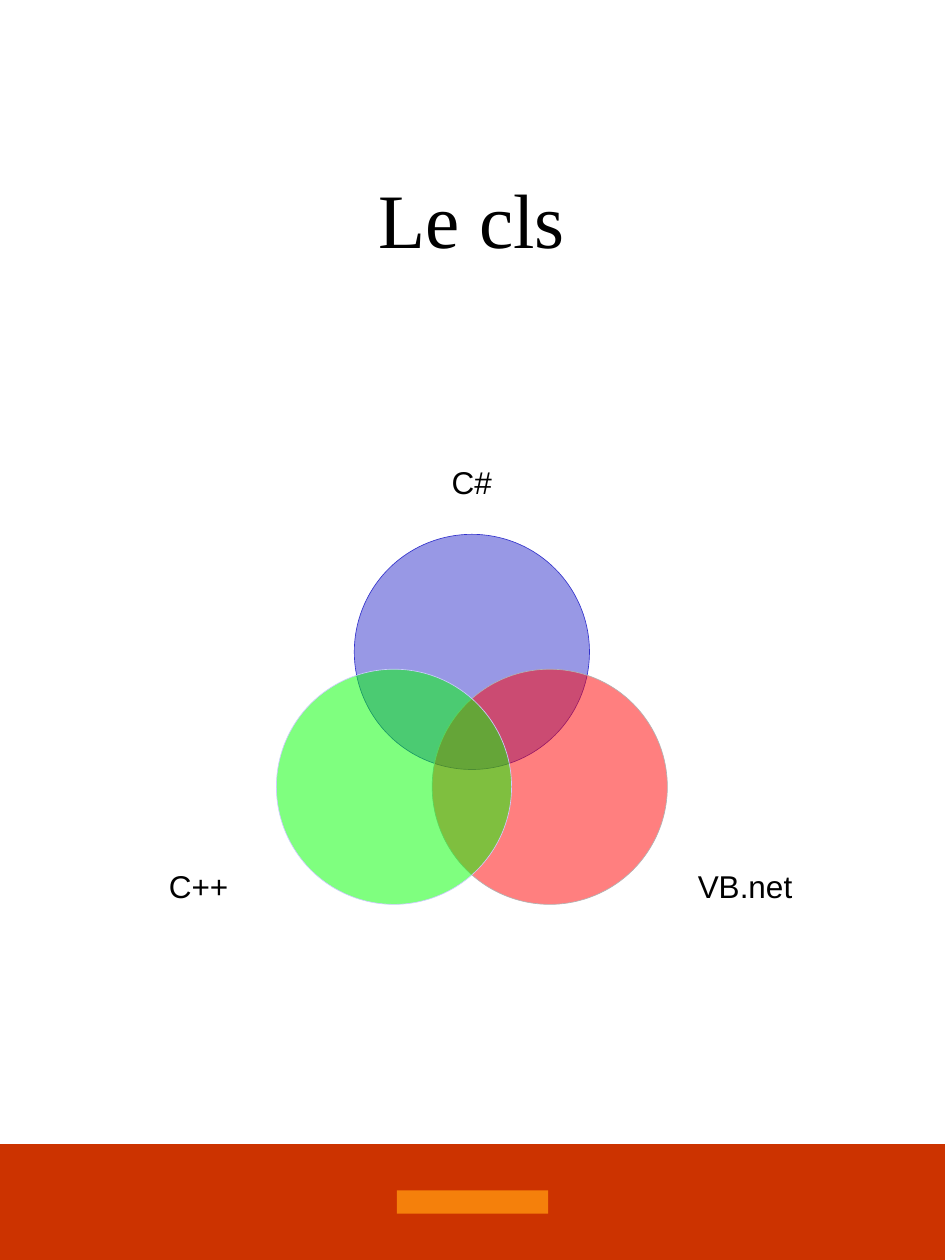
import math
from collections import namedtuple
from dataclasses import dataclass

import pptx
import pptx.dml.color
import pptx.enum.shapes
import pptx.enum.text
import pptx.oxml.ns
import pptx.util
from lxml import etree

Box = namedtuple("Box", "x y w h")
Language = namedtuple("Language", "name fill line angle column row")


@dataclass(frozen=True)
class Theme:
    """Colours, fonts and type sizes of the slide."""
    ink: str = "000000"
    band: str = "CC3300"
    accent: str = "F5800B"
    title_font: str = "Times New Roman"
    label_font: str = "Arial"
    title_size: int = 44
    label_size: int = 18
    outline: float = 0.37
    opacity: int = 50


THEME = Theme()
WIDTH, HEIGHT = 7.5, 10
COLUMNS, ROWS = 75, 100
LANGUAGES = (
    Language("C#", "3333CC", "3333CC", -90, 0.5, 0),
    Language("VB.net", "FF0000", "B2B2B2", 30, 1, 1),
    Language("C++", "00FF00", "CCCCFF", 150, 0, 1),
)


def rgb(value):
    """Return a colour from its hex value."""
    return pptx.dml.color.RGBColor.from_string(value)


def grid(column, row, columns, rows):
    """Return a box in inches from columns and rows of the slide grid."""
    cell_w, cell_h = WIDTH / COLUMNS, HEIGHT / ROWS
    return Box(column * cell_w, row * cell_h, columns * cell_w, rows * cell_h)


def emu(box):
    """Return the sides of a box as lengths."""
    return [pptx.util.Inches(v) for v in box]


def add_text(s, box, text, *, font, size, color, wrap=False):
    """Add a centred line of formatted text in a box."""
    tf = s.shapes.add_textbox(*emu(box)).text_frame
    tf.word_wrap = wrap
    tf.vertical_anchor = pptx.enum.text.MSO_ANCHOR.MIDDLE
    p = tf.paragraphs[0]
    p.alignment = pptx.enum.text.PP_ALIGN.CENTER
    r = p.add_run()
    r.text = text
    r.font.name = font
    r.font.size = pptx.util.Pt(size)
    r.font.color.rgb = rgb(color)


def add_filled(s, kind, box, fill, line=None, opacity=100):
    """Add a flat preset shape with an optional outline."""
    sp = s.shapes.add_shape(kind, *emu(box))
    sp.shadow.inherit = False
    sp.fill.solid()
    sp.fill.fore_color.rgb = rgb(fill)
    if opacity < 100:
        qn = pptx.oxml.ns.qn
        color = next(sp.element.spPr.iter(qn("a:srgbClr")))
        etree.SubElement(color, qn("a:alpha"), val=str(opacity * 1000))
    if line:
        sp.line.color.rgb = rgb(line)
        sp.line.width = pptx.util.Pt(THEME.outline)
    else:
        sp.line.fill.background()


def add_footer(s, box):
    """Fill the box with the colour band and a plain centred bar."""
    kind = pptx.enum.shapes.MSO_SHAPE.RECTANGLE
    bar_w, bar_h = 0.16 * box.w, 0.2 * box.h
    bar = Box(box.x + (box.w - bar_w) / 2, box.y + (box.h - bar_h) / 2, bar_w, bar_h)
    add_filled(s, kind, box, THEME.band)
    add_filled(s, kind, bar, THEME.accent)


def add_title(s, box):
    """Centre the title in the box."""
    add_text(s, box, "Le cls", font=THEME.title_font, size=THEME.title_size,
             color=THEME.ink, wrap=True)


def add_venn(s, box):
    """Draw three overlapping circles with labels along the box edges."""
    radius, orbit = 0.17 * box.w, 0.13 * box.w
    center_x, center_y = box.x + box.w / 2, box.y + box.h * 5 / 8
    label_w, label_h = 0.21 * box.w, box.h / 8
    for lang in LANGUAGES:
        angle = math.radians(lang.angle)
        circle = Box(center_x + orbit * math.cos(angle) - radius,
                     center_y + orbit * math.sin(angle) - radius,
                     2 * radius, 2 * radius)
        add_filled(s, pptx.enum.shapes.MSO_SHAPE.OVAL, circle, lang.fill,
                   lang.line, THEME.opacity)
        label = Box(box.x + lang.column * (box.w - label_w),
                    box.y + lang.row * (box.h - label_h), label_w, label_h)
        add_text(s, label, lang.name, font=THEME.label_font,
                 size=THEME.label_size, color=THEME.ink)


def main():
    """Build and save the slide."""
    prs = pptx.Presentation()
    prs.slide_width = pptx.util.Inches(WIDTH)
    prs.slide_height = pptx.util.Inches(HEIGHT)
    s = prs.slides.add_slide(prs.slide_layouts[6])
    add_footer(s, grid(0, 90.8, 75, 9.2))
    add_title(s, grid(5.6, 8.9, 63.7, 16.7))
    add_venn(s, grid(10, 36, 54.9, 36.6))
    prs.save("out.pptx")


if __name__ == "__main__":
    main()
